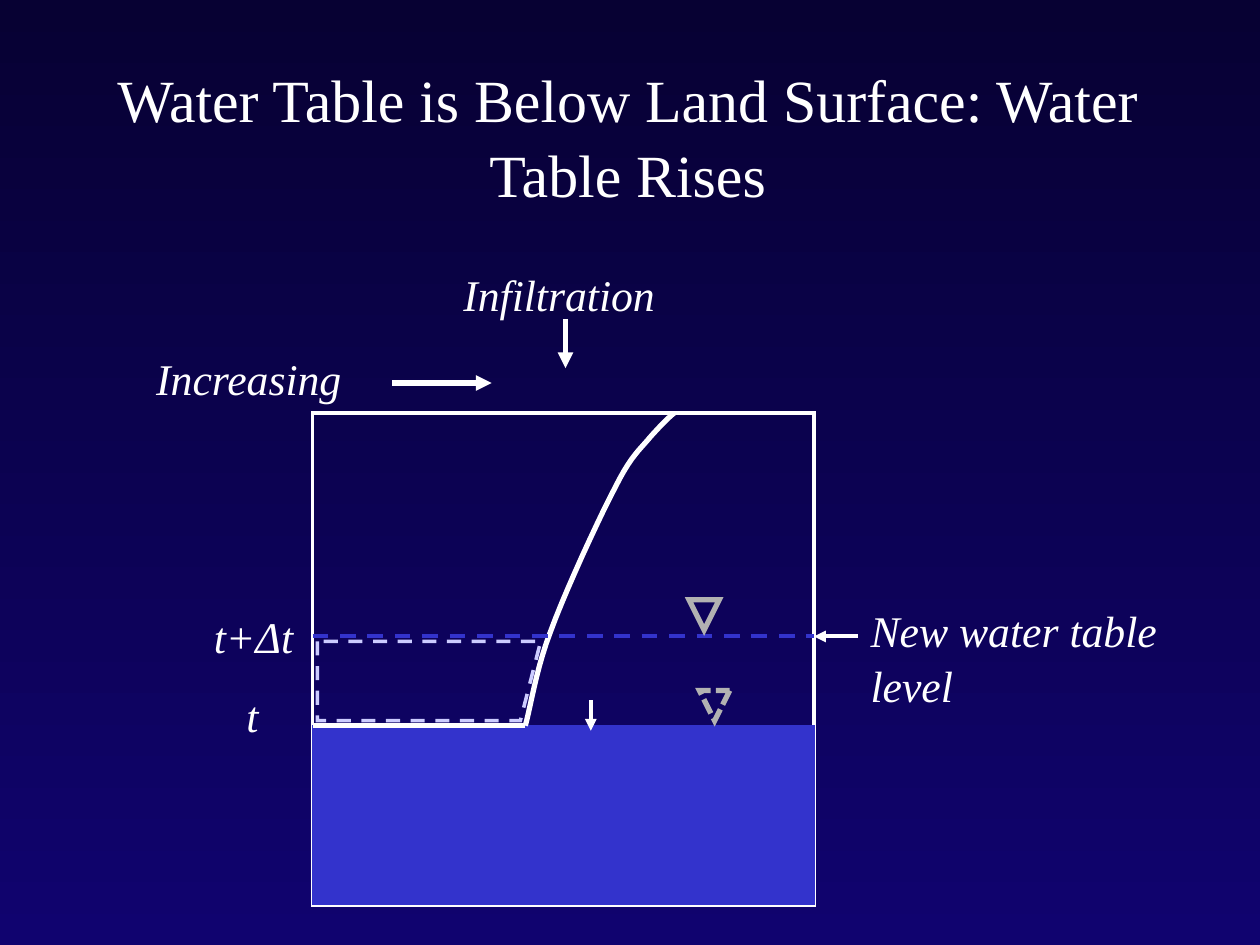
from typing import NamedTuple, Optional

from lxml import etree
from pptx import Presentation
from pptx.dml.color import RGBColor
from pptx.enum.dml import MSO_LINE
from pptx.enum.shapes import MSO_CONNECTOR, MSO_SHAPE
from pptx.enum.text import MSO_ANCHOR, MSO_AUTO_SIZE, PP_ALIGN
from pptx.oxml.ns import qn
from pptx.util import Cm, Pt

RECT, DELTA = MSO_SHAPE.RECTANGLE, MSO_SHAPE.ISOSCELES_TRIANGLE
STRAIGHT = MSO_CONNECTOR.STRAIGHT
DASH, DOTS = MSO_LINE.DASH, MSO_LINE.SQUARE_DOT
CENTER, MIDDLE = PP_ALIGN.CENTER, MSO_ANCHOR.MIDDLE
NO_FIT, GROW = MSO_AUTO_SIZE.NONE, MSO_AUTO_SIZE.SHAPE_TO_FIT_TEXT

FONT = "Times New Roman"
WHITE, BLUE, GRAY, LILAC = "FFFFFF", "3333CC", "B2B2B2", "CCCCFF"

# Soil column, in cm
LEFT, RIGHT, TOP, BASE = 6.3, 16.41, 8.33, 18.24
OLD, NEW = 14.63, 12.83  # water table at t and at t+Δt
FOOT = 10.59  # where the moisture curve meets the old water table
STEPS = 10  # straight pieces per curve segment


class Pen(NamedTuple):
    color: str
    width: float
    dash: Optional[MSO_LINE] = None
    arrow: bool = False


class Label(NamedTuple):
    lines: tuple
    x: float
    y: float
    w: float
    h: float = 1.32


class Line(NamedTuple):
    x1: float
    y1: float
    x2: float
    y2: float
    pen: Pen


class Block(NamedTuple):
    kind: MSO_SHAPE
    x: float
    y: float
    w: float
    h: float
    pen: Pen
    fill: Optional[str] = None
    turn: float = 0


BOLD = Pen(WHITE, 3)
THIN = Pen(WHITE, 2.25, arrow=True)
THICK = Pen(WHITE, 3, arrow=True)

BLOCKS = [
    Block(RECT, LEFT, TOP, RIGHT - LEFT, BASE - TOP, Pen(WHITE, 2.25)),
    Block(RECT, LEFT, OLD, RIGHT - LEFT, BASE - OLD, Pen(BLUE, 0.75), BLUE),
]
MARKS = [
    Block(DELTA, 13.89, 12.09, 0.61, 0.61, Pen(GRAY, 3), turn=180),
    Block(DELTA, 14.1, 13.92, 0.61, 0.61, Pen(GRAY, 3, DOTS), turn=180),
]
LINES = [
    Line(11.4, 6.43, 11.4, 7.42, THICK),
    Line(7.9, 7.72, 9.91, 7.72, THICK),
    Line(FOOT, OLD, LEFT, OLD, BOLD),
    Line(LEFT, NEW, RIGHT, NEW, Pen(BLUE, 2.25, DASH)),
    Line(17.3, NEW, RIGHT, NEW, THIN),
    Line(11.91, 14.12, 11.91, 14.73, THIN),
]
LABELS = [
    Label(("Infiltration",), 9.09, 5.23, 4.39),
    Label(("Increasing",), 2.9, 6.93, 4.29),
    Label(("New water table", "level"), 17.3, 12.01, 6.53, 2.36),
    Label(("t",), 4.72, 13.72, 0.76),
    Label(("t+Δt",), 4.06, 12.12, 2.11),
]
# Start point, then two handles and an end point per segment
CURVE = [
    (13.59, TOP),
    (13.46, 8.43), (13.31, 8.59), (13.11, 8.81),
    (12.9, 9.07), (12.73, 9.17), (12.4, 9.83),
    (12.07, 10.46), (11.4, 11.91), (11.1, 12.73),
    (10.8, 13.51), (10.69, 14.3), (FOOT, OLD),
]
ZONE = [(6.4, 12.93), (6.4, 14.53), (10.49, 14.53), (10.9, 12.93)]


def rgb(code: str) -> RGBColor:
    return RGBColor.from_string(code)


def stroke(line, pen: Pen) -> None:
    line.color.rgb = rgb(pen.color)
    line.width = Pt(pen.width)
    if pen.dash:
        line.dash_style = pen.dash
    node = line.color and line._get_or_add_ln()
    etree.SubElement(node, qn("a:miter"), lim="800000")
    if pen.arrow:
        etree.SubElement(node, qn("a:tailEnd"), type="triangle")


def add_block(slide, item: Block) -> None:
    shape = slide.shapes.add_shape(
        item.kind, Cm(item.x), Cm(item.y), Cm(item.w), Cm(item.h))
    shape.rotation = item.turn
    finish(shape, item.pen, item.fill)


def finish(shape, pen: Pen, fill: Optional[str] = None) -> None:
    """Set the shadow, fill and outline of a closed or open shape."""
    shape.shadow.inherit = False
    if fill:
        shape.fill.solid()
        shape.fill.fore_color.rgb = rgb(fill)
    else:
        shape.fill.background()
    stroke(shape.line, pen)


def add_line(slide, item: Line) -> None:
    line = slide.shapes.add_connector(
        STRAIGHT, Cm(item.x1), Cm(item.y1), Cm(item.x2), Cm(item.y2))
    etree.SubElement(line._element.spPr, qn("a:effectLst"))
    stroke(line.line, item.pen)


def add_path(slide, points: list, pen: Pen, close: bool) -> None:
    spots = [(Cm(x), Cm(y)) for x, y in points]
    form = slide.shapes.build_freeform(*spots[0])
    form.add_line_segments(spots[1:], close=close)
    finish(form.convert_to_shape(), pen)


def smooth(knots: list) -> list:
    """Sample a chain of cubic Bezier segments."""
    points = [knots[0]]
    for i in range(0, len(knots) - 1, 3):
        for n in range(1, STEPS + 1):
            t = n / STEPS
            u = 1 - t
            parts = (u ** 3, 3 * u * u * t, 3 * u * t * t, t ** 3)
            points.append(tuple(
                sum(k * knot[axis] for k, knot in zip(parts, knots[i:i + 4]))
                for axis in (0, 1)))
    return points


def add_run(para, text: str, size: float, slant: bool = False) -> None:
    para.line_spacing = 1.04
    run = para.add_run()
    run.text = text
    font = run.font
    font.name, font.size, font.italic = FONT, Pt(size), slant
    font.color.rgb = rgb(WHITE)


def add_label(slide, item: Label) -> None:
    box = slide.shapes.add_textbox(
        Cm(item.x), Cm(item.y), Cm(item.w), Cm(item.h))
    frame = box.text_frame
    frame.word_wrap = False
    frame.auto_size = GROW
    for i, text in enumerate(item.lines):
        para = frame.add_paragraph() if i else frame.paragraphs[0]
        add_run(para, text, 25, True)


def set_title(slide, text: str) -> None:
    title = slide.shapes.title
    title.left, title.top = Cm(0.69), Cm(1.12)
    title.width, title.height = Cm(23.93), Cm(3.18)
    frame = title.text_frame
    frame.word_wrap = True
    frame.auto_size = NO_FIT
    frame.vertical_anchor = MIDDLE
    para = frame.paragraphs[0]
    para.alignment = CENTER
    add_run(para, text, 34.2)


def set_back(slide) -> None:
    fill = slide.background.fill
    fill.gradient()
    fill.gradient_angle = 270
    for stop, place, code in zip(
            fill.gradient_stops, (0, 1), ("070133", "10036F")):
        stop.position = place
        stop.color.rgb = rgb(code)


def main() -> None:
    deck = Presentation()
    deck.slide_width, deck.slide_height = Cm(25.4), Cm(19.05)
    slide = deck.slides.add_slide(deck.slide_layouts[5])
    set_back(slide)
    set_title(slide, "Water Table is Below Land Surface: Water Table Rises")
    for block in BLOCKS:
        add_block(slide, block)
    add_path(slide, smooth(CURVE), BOLD, False)
    for line in LINES:
        add_line(slide, line)
    for mark in MARKS:
        add_block(slide, mark)
    for label in LABELS:
        add_label(slide, label)
    add_path(slide, ZONE, Pen(LILAC, 2, DASH), True)
    deck.save("out.pptx")


if __name__ == "__main__":
    main()
